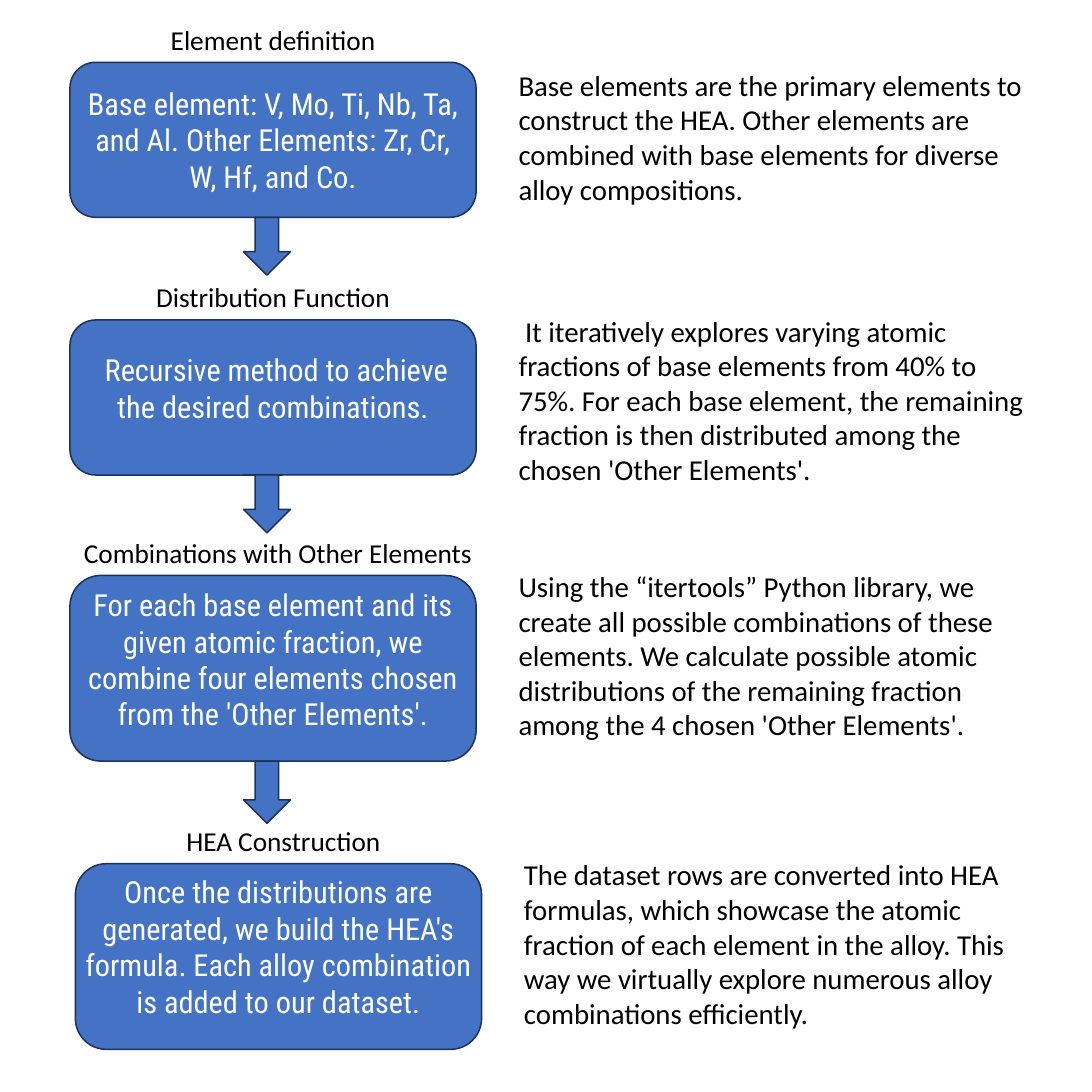
from pptx import Presentation
from pptx.dml.color import RGBColor
from pptx.enum import shapes, text
from pptx.util import Inches, Pt

BLUE, NAVY, WHITE, BLACK = "4472C4", "1E3256", "FFFFFF", "000000"
HEADING = {"name": "Calibri", "size": Pt(18)}
STATEMENT = {"name": "Roboto Condensed", "size": Pt(20)}
EXPLANATION = {"name": "Calibri", "size": Pt(19)}
BOX_WIDTH, HEADING_HEIGHT = 3.72, 0.41
ARROW_WIDTH, ARROW_LEFT = 0.43, 1.59
EXPLANATION_LEFT, EXPLANATION_WIDTH = 4.01, 4.91

STEPS = [
    {"left": 0.64, "top": 0.57, "height": 1.42, "text_width": 3.72,
     "statement_drop": 0.16, "explanation_drop": 0, "arrow_height": 0.53,
     "heading": "Element definition",
     "statement": "Base element: V, Mo, Ti, Nb, Ta, and Al. Other Elements: "
                  "Zr, Cr, W, Hf, and Co.",
     "explanation": "Base elements are the primary elements to construct the HEA. "
                    "Other elements are combined with base elements for diverse "
                    "alloy compositions. "},
    {"left": 0.64, "top": 2.93, "height": 1.42, "text_width": 3.72,
     "statement_drop": 0.24, "explanation_drop": -0.11, "arrow_height": 0.53,
     "heading": "Distribution Function",
     "statement": " Recursive method to achieve the desired combinations.",
     "explanation": " It iteratively explores varying atomic fractions of base "
                    "elements from 40% to 75%. For each base element, the remaining "
                    "fraction is then distributed among the chosen 'Other Elements'."},
    {"left": 0.64, "top": 5.27, "height": 1.7, "text_width": 3.81,
     "statement_drop": 0.05, "explanation_drop": -0.11, "arrow_height": 0.57,
     "heading": "Combinations with Other Elements",
     "statement": "For each base element and its given atomic fraction, we combine "
                  "four elements chosen from the 'Other Elements'.",
     "explanation": "Using the “itertools” Python library, we create all possible "
                    "combinations of these elements. We calculate possible atomic "
                    "distributions of the remaining fraction among the 4 chosen "
                    "'Other Elements'."},
    {"left": 0.69, "top": 7.91, "height": 1.7, "text_width": 3.81,
     "statement_drop": 0.04, "explanation_drop": -0.11, "arrow_height": 0,
     "heading": "HEA Construction",
     "statement": "Once the distributions are generated, we build the HEA's formula. "
                  "Each alloy combination is added to our dataset.",
     "explanation": "The dataset rows are converted into HEA formulas, which showcase "
                    "the atomic fraction of each element in the alloy. This way we "
                    "virtually explore numerous alloy combinations efficiently."},
]


def color(hex_string):
    """Return the colour for a hex string."""
    return RGBColor.from_string(hex_string)


def add_blue_shape(slide, preset, left, top, width, height):
    """Add a blue preset shape with a thin navy outline."""
    blue_shape = slide.shapes.add_shape(preset, *map(Inches, (left, top, width, height)))
    blue_shape.shadow.inherit = False
    blue_shape.fill.solid()
    blue_shape.fill.fore_color.rgb = color(BLUE)
    blue_shape.line.color.rgb = color(NAVY)
    blue_shape.line.width = Pt(1)


def add_words(slide, words, left, top, width, height, font_format, ink, align):
    """Add a wrapped text box holding one paragraph."""
    frame = slide.shapes.add_textbox(*map(Inches, (left, top, width, height))).text_frame
    frame.word_wrap = True
    paragraph = frame.paragraphs[0]
    paragraph.alignment = align
    run = paragraph.add_run()
    run.text = words
    for attribute, value in font_format.items():
        setattr(run.font, attribute, value)
    run.font.color.rgb = color(ink)


def add_step(slide, step):
    """Add one step: box, statement, explanation, heading and arrow."""
    left, top, height, text_width = (
        step[key] for key in ("left", "top", "height", "text_width"))
    center, start = text.PP_ALIGN.CENTER, text.PP_ALIGN.LEFT
    preset = shapes.MSO_SHAPE
    add_blue_shape(slide, preset.FLOWCHART_ALTERNATE_PROCESS, left, top, BOX_WIDTH, height)
    add_words(slide, step["statement"], left + (BOX_WIDTH - text_width) / 2,
              top + step["statement_drop"], text_width, height - step["statement_drop"],
              STATEMENT, WHITE, center)
    add_words(slide, step["explanation"], left + EXPLANATION_LEFT,
              top + step["explanation_drop"], EXPLANATION_WIDTH, height,
              EXPLANATION, BLACK, start)
    add_words(slide, step["heading"], left, top - HEADING_HEIGHT, text_width,
              HEADING_HEIGHT, HEADING, BLACK, center)
    if step["arrow_height"]:
        add_blue_shape(slide, preset.DOWN_ARROW, left + ARROW_LEFT, top + height,
                       ARROW_WIDTH, step["arrow_height"])


def main():
    """Build the workflow slide and save it."""
    presentation = Presentation()
    presentation.slide_width = presentation.slide_height = Inches(10)
    slide = presentation.slides.add_slide(presentation.slide_layouts[6])
    for step in STEPS:
        add_step(slide, step)
    presentation.save("out.pptx")


main()
